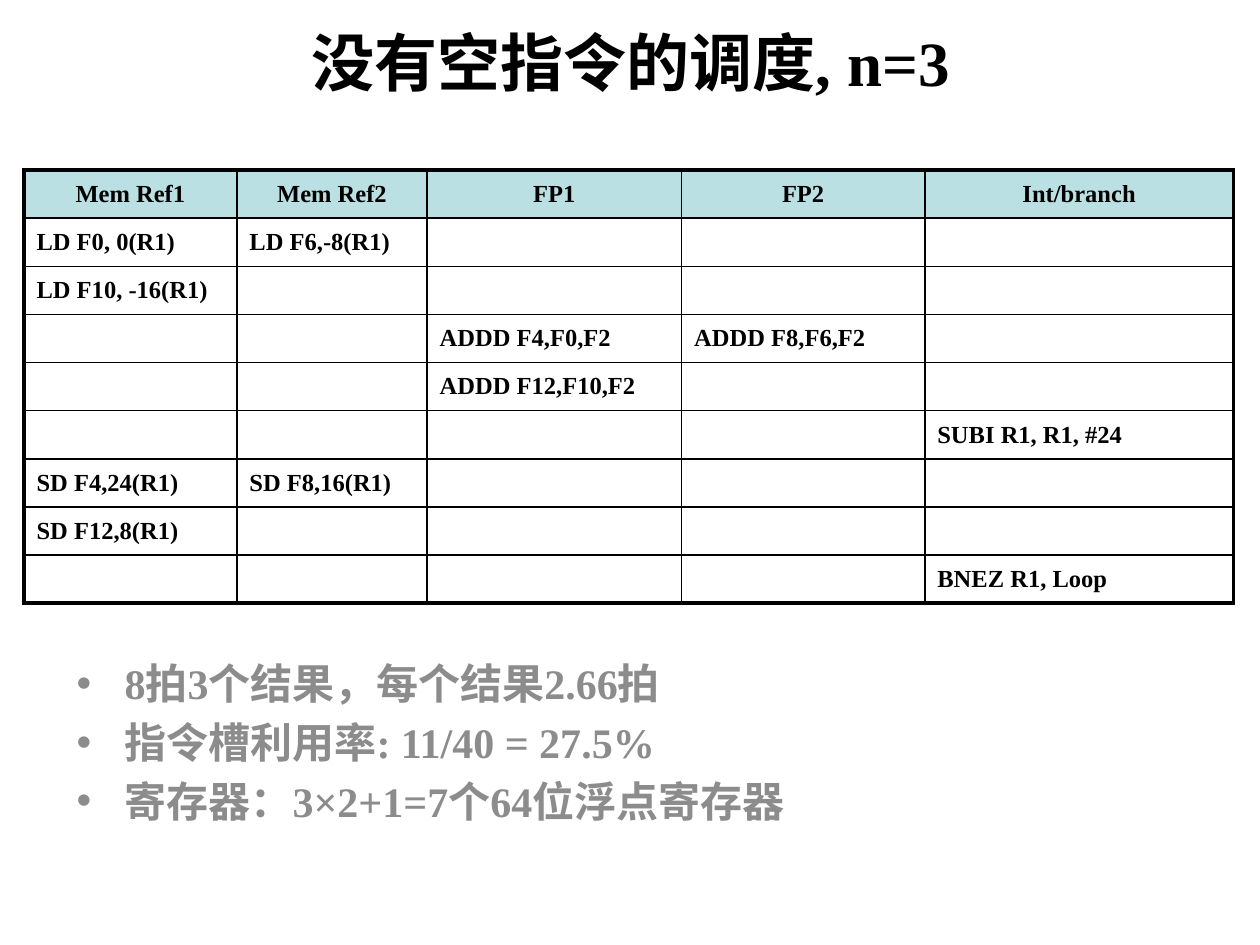
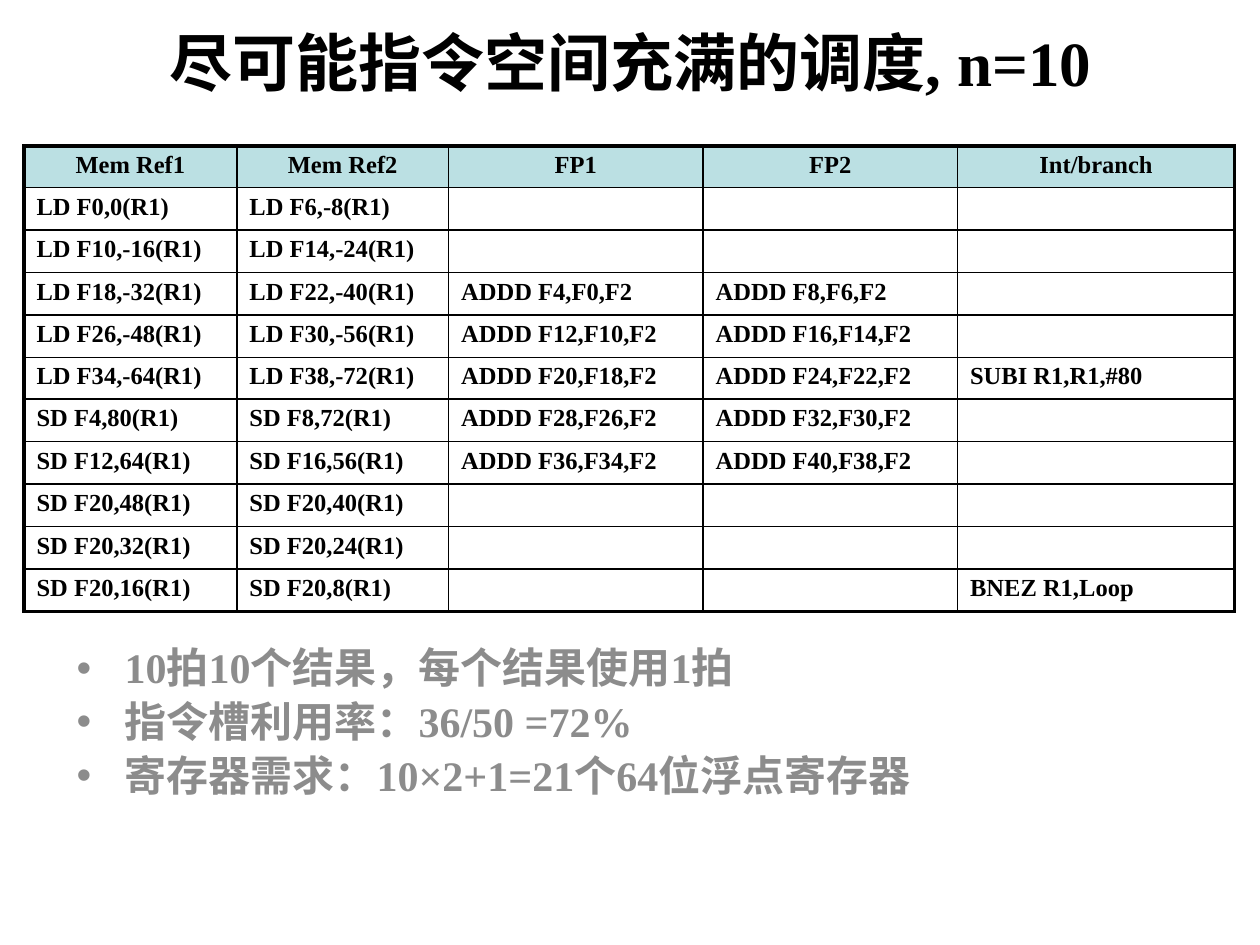
import pptx
import pptx.util
import pptx.dml.color
import pptx.enum.text
import pptx.oxml
import pptx.oxml.ns
import lxml.etree

Inches, Pt = pptx.util.Inches, pptx.util.Pt
RGB = pptx.dml.color.RGBColor
ALIGN = pptx.enum.text.PP_ALIGN
MID = pptx.enum.text.MSO_ANCHOR.MIDDLE
qn = pptx.oxml.ns.qn

# Shared look
BLACK = RGB(0x00, 0x00, 0x00)
GREY = RGB(0x8C, 0x8C, 0x8C)
TEAL = RGB(0xBB, 0xE0, 0xE3)
BASE = {"name": "Times New Roman", "bold": True}
HEAD = {**BASE, "size": Pt(36)}
CELL = {**BASE, "size": Pt(14)}
NOTE = {**BASE, "size": Pt(24)}
THICK, THIN = 2.25, 1
LEFT = 0.19
UNITS = ["Mem Ref1", "Mem Ref2", "FP1", "FP2", "Int/branch"]

# Content: each row runs through the units in order
SLIDES = [
    {
        "title": "没有空指令的调度, n=3",
        "top": 1.35, "high": 3.44, "lead": 1.0,
        "cols": [1.69, 1.51, 2.02, 1.93, 2.45],
        "rows": [
            ["LD F0, 0(R1)", "LD F6,-8(R1)", "", "", ""],
            ["LD F10, -16(R1)", "", "", "", ""],
            ["", "", "ADDD F4,F0,F2", "ADDD F8,F6,F2", ""],
            ["", "", "ADDD F12,F10,F2", "", ""],
            ["", "", "", "", "SUBI R1, R1, #24"],
            ["SD F4,24(R1)", "SD F8,16(R1)", "", "", ""],
            ["SD F12,8(R1)", "", "", "", ""],
            ["", "", "", "", "BNEZ R1, Loop"],
        ],
        "box": (5.17, 1.81), "space": 1.0,
        "notes": ["8拍3个结果，每个结果2.66拍",
                  "指令槽利用率: 11/40 = 27.5%",
                  "寄存器：3×2+1=7个64位浮点寄存器"],
    },
    {
        "title": "尽可能指令空间充满的调度, n=10",
        "top": 1.16, "high": 3.63, "lead": 0.8,
        "cols": [1.69, 1.68, 2.02, 2.02, 2.2],
        "rows": [
            ["LD F0,0(R1)", "LD F6,-8(R1)", "", "", ""],
            ["LD F10,-16(R1)", "LD F14,-24(R1)", "", "", ""],
            ["LD F18,-32(R1)", "LD F22,-40(R1)", "ADDD F4,F0,F2", "ADDD F8,F6,F2", ""],
            ["LD F26,-48(R1)", "LD F30,-56(R1)", "ADDD F12,F10,F2", "ADDD F16,F14,F2", ""],
            ["LD F34,-64(R1)", "LD F38,-72(R1)", "ADDD F20,F18,F2", "ADDD F24,F22,F2",
             "SUBI R1,R1,#80"],
            ["SD F4,80(R1)", "SD F8,72(R1)", "ADDD F28,F26,F2", "ADDD F32,F30,F2", ""],
            ["SD F12,64(R1)", "SD F16,56(R1)", "ADDD F36,F34,F2", "ADDD F40,F38,F2", ""],
            ["SD F20,48(R1)", "SD F20,40(R1)", "", "", ""],
            ["SD F20,32(R1)", "SD F20,24(R1)", "", "", ""],
            ["SD F20,16(R1)", "SD F20,8(R1)", "", "", "BNEZ R1,Loop"],
        ],
        "box": (5.09, 2.13), "space": 0.9,
        "notes": ["10拍10个结果，每个结果使用1拍",
                  "指令槽利用率：36/50 =72%",
                  "寄存器需求：10×2+1=21个64位浮点寄存器"],
    },
]


def write(para, text, style, color):
    """Put styled text in a paragraph; an empty one only keeps its size."""
    if not text:
        end = lxml.etree.SubElement(para._p, qn("a:endParaRPr"))
        end.set("sz", str(int(style["size"].pt * 100)))
        return
    run = para.add_run()
    run.text = text
    for key, val in style.items():
        setattr(run.font, key, val)
    run.font.color.rgb = color


def edge(cell, sides):
    """Draw the cell's borders, given as tag and width in points."""
    props = cell._tc.get_or_add_tcPr()
    for i, (tag, width) in enumerate(sides.items()):
        line = pptx.oxml.parse_xml(
            f'<a:{tag} xmlns:a="http://schemas.openxmlformats.org/drawingml/2006/main" '
            f'w="{int(Pt(width))}"><a:solidFill><a:srgbClr val="{BLACK}"/>'
            f'</a:solidFill></a:{tag}>')
        props.insert(i, line)


deck = pptx.Presentation()
deck.slide_width, deck.slide_height = Inches(10), Inches(7.5)

for data in SLIDES:
    slide = deck.slides.add_slide(deck.slide_layouts[5])

    # Title
    title = slide.shapes.title
    place = {"left": 0.2, "top": 0.05, "width": 9.61, "height": 0.87}
    for key, val in place.items():
        setattr(title, key, Inches(val))
    title.text_frame.vertical_anchor = MID
    para = title.text_frame.paragraphs[0]
    para.alignment = ALIGN.CENTER
    write(para, data["title"], HEAD, BLACK)

    # Schedule table
    rows = [UNITS] + data["rows"]
    frame = slide.shapes.add_table(
        len(rows), len(UNITS), Inches(LEFT), Inches(data["top"]),
        Inches(sum(data["cols"])), Inches(data["high"]))
    table = frame.table
    table.first_row = table.horz_banding = False
    for col, wide in zip(table.columns, data["cols"]):
        col.width = Inches(wide)
    for r, row in enumerate(rows):
        table.rows[r].height = Inches(data["high"] / len(rows))
        for c, text in enumerate(row):
            cell = table.cell(r, c)
            cell.vertical_anchor = MID
            para = cell.text_frame.paragraphs[0]
            para.line_spacing = data["lead"]
            if r == 0:
                para.alignment = ALIGN.CENTER
                cell.fill.solid()
                cell.fill.fore_color.rgb = TEAL
            else:
                cell.fill.background()
            write(para, text, CELL, BLACK)
            outer = {"lnL": c == 0, "lnR": c == len(UNITS) - 1,
                     "lnT": r == 0, "lnB": r == len(rows) - 1}
            edge(cell, {tag: THICK if out else THIN for tag, out in outer.items()})

    # Bulleted results
    top, high = data["box"]
    box = slide.shapes.add_textbox(Inches(0.51), Inches(top), Inches(8.98), Inches(high))
    body = box.text_frame
    body.word_wrap = True
    for i, text in enumerate(data["notes"]):
        para = body.add_paragraph() if i else body.paragraphs[0]
        para.line_spacing = data["space"]
        para.space_before = Pt(4.8)
        props = para._p.get_or_add_pPr()
        props.set("marL", str(Inches(0.38)))
        props.set("indent", str(-Inches(0.38)))
        lxml.etree.SubElement(props, qn("a:buFont")).set("typeface", "Arial")
        lxml.etree.SubElement(props, qn("a:buChar")).set("char", "•")
        write(para, text, NOTE, GREY)

deck.save("out.pptx")
